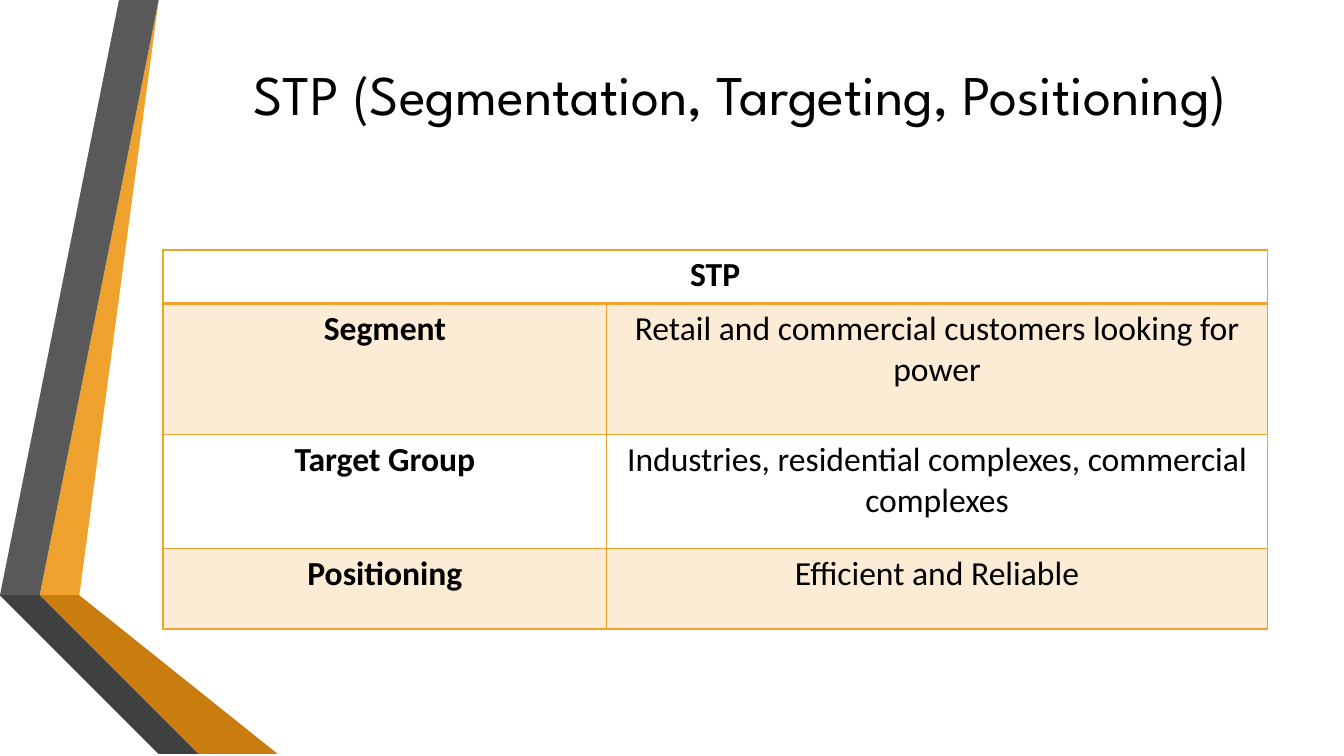
"""Build the STP slide: folded ribbons, a title and a table."""
from lxml.etree import SubElement
from pptx import Presentation
from pptx.dml.color import RGBColor
from pptx.enum.text import MSO_ANCHOR, MSO_AUTO_SIZE, PP_ALIGN
from pptx.oxml.ns import qn
from pptx.util import Cm, Pt

TITLE = "STP (Segmentation, Targeting, Positioning) "
HEADING = "STP"
ROWS = [
    ("Segment", "Retail and commercial customers looking for power"),
    ("Target Group", "Industries, residential complexes, commercial complexes"),
    ("Positioning", "Efficient and Reliable"),
]
COLUMN_WIDTHS = [11.18, 16.65]
ROW_HEIGHTS = [1.35, 3.3, 2.87, 2.03]
TABLE_LEFT, TABLE_TOP = 4.11, 6.3
BLACK, ORANGE, PALE_ORANGE = "000000", "F0A22E", "FCECD5"
RIBBONS = [
    (ORANGE, [(1.27, 14.68), (1.96, 14.81), (4.39, 0), (3.68, 0)]),
    ("595959", [(3.53, 0), (2.82, 0), (0.41, 14.55), (1.12, 14.66)]),
    ("262626", [(0.41, 14.55), (3.68, 19.05), (3.84, 19.05)]),
    ("85540A", [(1.27, 14.71), (5.28, 19.05), (5.44, 19.05)]),
    ("C87D0E", [(1.27, 14.71), (5.44, 19.05), (7.19, 19.05), (1.96, 14.81), (1.27, 14.68)]),
    ("404040", [(5.13, 19.05), (1.22, 14.81), (1.09, 14.68), (1.12, 14.66),
                (0.41, 14.55), (3.84, 19.05)]),
]


def color(value):
    return RGBColor.from_string(value)


def write(text_frame, text, font_name, size, bold=False):
    text_frame.text = text
    paragraph = text_frame.paragraphs[0]
    paragraph.alignment = PP_ALIGN.CENTER
    font = paragraph.runs[0].font
    font.name, font.size, font.bold = font_name, Pt(size), bold
    font.color.rgb = color(BLACK)


def add_ribbon(shapes, fill, points):
    builder = shapes.build_freeform(*points[0], scale=Cm(1))
    builder.add_line_segments(points[1:], close=True)
    shape = builder.convert_to_shape()
    shape.shadow.inherit = False
    shape.fill.solid()
    shape.fill.fore_color.rgb = color(fill)
    shape.line.fill.background()


def set_borders(cell, top, bottom):
    properties = cell._tc.get_or_add_tcPr()
    for side, width in (("L", 1), ("R", 1), ("T", top), ("B", bottom)):
        line = SubElement(properties, qn(f"a:ln{side}"), w=str(Pt(width)))
        fill = SubElement(line, qn("a:solidFill"))
        SubElement(fill, qn("a:srgbClr"), val=ORANGE)


def add_title(slide):
    title = slide.shapes.title
    title.left, title.top, title.width, title.height = Cm(4.11), Cm(0.43), Cm(29.44), Cm(3.81)
    title.text_frame.vertical_anchor = MSO_ANCHOR.MIDDLE
    title.text_frame.auto_size = MSO_AUTO_SIZE.NONE
    write(title.text_frame, TITLE, "League Spartan", 40)


def add_stp_table(slide):
    contents = [(HEADING, "")] + ROWS
    frame = slide.shapes.add_table(
        len(contents), len(COLUMN_WIDTHS), Cm(TABLE_LEFT), Cm(TABLE_TOP),
        Cm(sum(COLUMN_WIDTHS)), Cm(sum(ROW_HEIGHTS)))
    table = frame.table
    table.first_row = table.horz_banding = False
    for column, width in zip(table.columns, COLUMN_WIDTHS):
        column.width = Cm(width)
    for row, height in zip(table.rows, ROW_HEIGHTS):
        row.height = Cm(height)
    table.cell(0, 0).merge(table.cell(0, 1))
    for row_index, texts in enumerate(contents):
        for column_index, text in enumerate(texts):
            cell = table.cell(row_index, column_index)
            set_borders(cell, 2 if row_index == 1 else 1, 2 if row_index == 0 else 1)
            if row_index % 2:
                cell.fill.solid()
                cell.fill.fore_color.rgb = color(PALE_ORANGE)
            else:
                cell.fill.background()
            if text:
                write(cell.text_frame, text, "Calibri", 24, bold=column_index == 0)


def main():
    presentation = Presentation()
    presentation.slide_width, presentation.slide_height = Cm(33.87), Cm(19.05)
    slide = presentation.slides.add_slide(presentation.slide_layouts[5])
    ribbons = slide.shapes.add_group_shape()
    for fill, points in RIBBONS:
        add_ribbon(ribbons.shapes, fill, points)
    add_title(slide)
    add_stp_table(slide)
    presentation.save("out.pptx")


if __name__ == "__main__":
    main()
